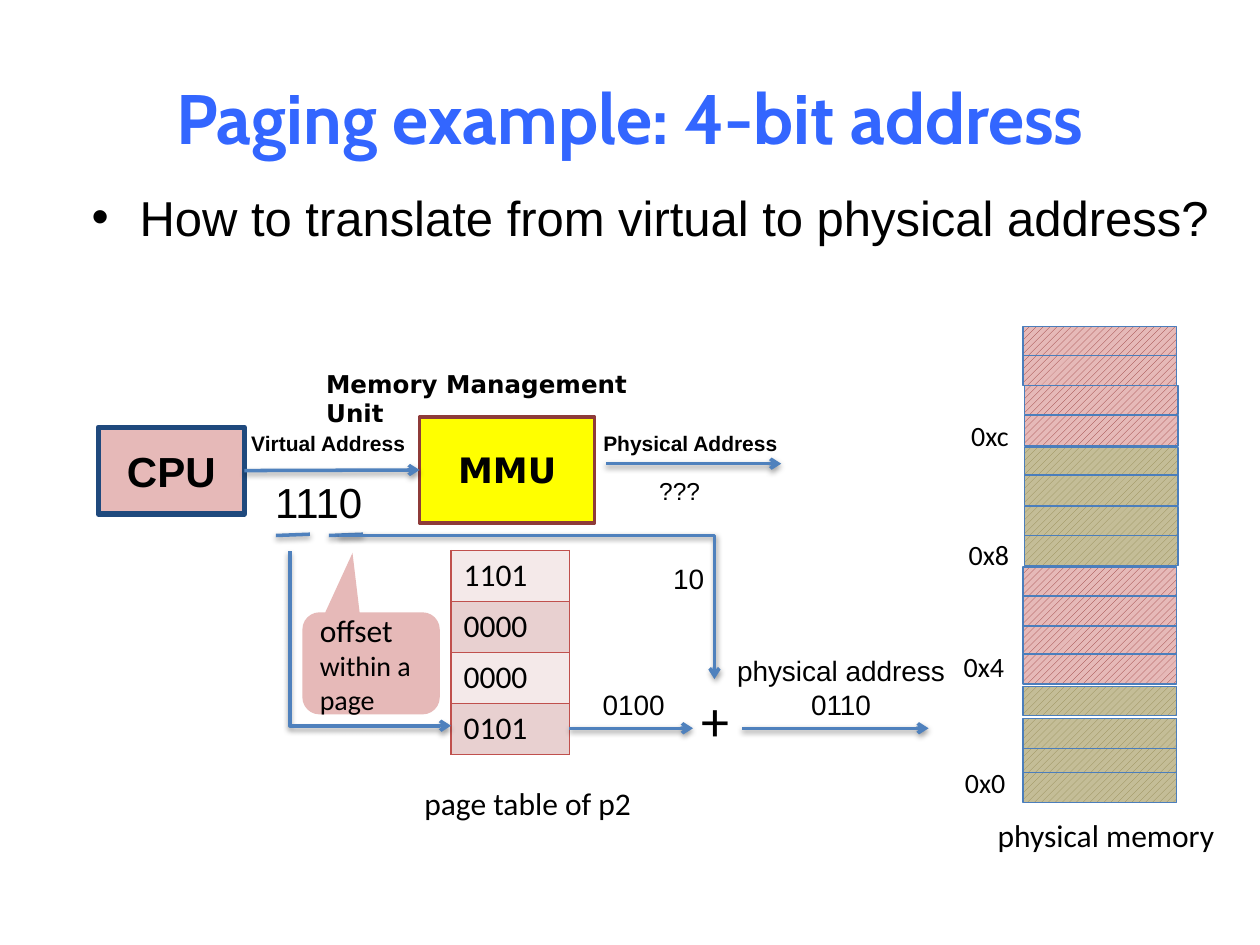
from dataclasses import dataclass

from lxml.etree import SubElement
from pptx import Presentation
from pptx.dml.color import RGBColor
from pptx.enum.dml import MSO_PATTERN
from pptx.enum.shapes import MSO_CONNECTOR as Link, MSO_SHAPE as Preset
from pptx.enum.text import MSO_ANCHOR as Anchor, MSO_AUTO_SIZE as Fit, PP_ALIGN as Align
from pptx.oxml import parse_xml
from pptx.oxml.ns import nsdecls, qn
from pptx.util import Inches, Pt


@dataclass(frozen=True)
class Theme:
    """Colours, typefaces and type sizes of the slide."""
    heading: str = "3366FF"
    ink: str = "000000"
    pink: str = "E6B9B8"
    pink_hatch: str = "953735"
    tan: str = "C4BD97"
    tan_hatch: str = "948A54"
    cell_line: str = "4B7EBC"
    arrow: str = "4F81BD"
    cpu_line: str = "1F497D"
    mmu: str = "FFFF00"
    mmu_line: str = "8E3B39"
    table_line: str = "C0504D"
    bands: tuple = ("F4E9E9", "E8D0D0")
    title_font: str = "Cabin"
    plain: str = "Arial"
    soft: str = "Calibri"
    wide: str = "DejaVu Sans"
    title: int = 40
    bullet: int = 28
    plus: int = 32
    large: int = 24
    unit: int = 20
    body: int = 18
    label: int = 16
    note: int = 14
    small: int = 12


def rgb(code):
    """Turn a hex code into a colour."""
    return RGBColor.from_string(code)


def box(*lengths):
    """Give several lengths in inches."""
    return [Inches(length) for length in lengths]


class Sketch:
    """Draws styled elements on the current slide."""

    def __init__(self, slide, theme):
        self.slide, self.theme = slide, theme

    def styled_run(self, paragraph, words, size, font, bold=False, colour=None):
        """Add one styled run to a paragraph."""
        run = paragraph.add_run()
        run.text = words
        run.font.size, run.font.name, run.font.bold = Pt(size), font, bold
        run.font.color.rgb = rgb(colour or self.theme.ink)

    def title(self, words, place):
        """Place and fill the title."""
        heading = self.slide.shapes.title
        heading.left, heading.top, heading.width, heading.height = box(*place)
        frame = heading.text_frame
        frame.vertical_anchor, frame.auto_size = Anchor.MIDDLE, Fit.NONE
        frame.paragraphs[0].alignment = Align.CENTER
        self.styled_run(frame.paragraphs[0], words, self.theme.title,
                        self.theme.title_font, True, self.theme.heading)

    def text(self, lines, place, size, font, bold=False, align=Align.CENTER, wrap=True):
        """Add a text box with one paragraph per line."""
        frame = self.slide.shapes.add_textbox(*box(*place)).text_frame
        frame.word_wrap, frame.auto_size = wrap, Fit.SHAPE_TO_FIT_TEXT
        for index, line in enumerate(lines.split("\n")):
            paragraph = frame.add_paragraph() if index else frame.paragraphs[0]
            paragraph.alignment = align
            self.styled_run(paragraph, line, size, font, bold)

    def bullet(self, words, place):
        """Add a bulleted statement."""
        frame = self.slide.shapes.add_textbox(*box(*place)).text_frame
        frame.word_wrap = True
        paragraph = frame.paragraphs[0]
        properties = paragraph._p.get_or_add_pPr()
        properties.set("marL", str(Inches(0.38)))
        properties.set("indent", str(Inches(-0.38)))
        SubElement(properties, qn("a:buFont")).set("typeface", self.theme.plain)
        SubElement(properties, qn("a:buChar")).set("char", "•")
        self.styled_run(paragraph, words, self.theme.bullet, self.theme.plain)

    def block(self, place, fill, line=None, weight=1.0, preset=Preset.RECTANGLE, hatch=None):
        """Add a filled shape, hatched or plain."""
        shape = self.slide.shapes.add_shape(preset, *box(*place))
        shape.shadow.inherit = False
        if hatch:
            shape.fill.patterned()
            shape.fill.pattern = MSO_PATTERN.WIDE_UPWARD_DIAGONAL
            shape.fill.fore_color.rgb, shape.fill.back_color.rgb = rgb(hatch), rgb(fill)
        else:
            shape.fill.solid()
            shape.fill.fore_color.rgb = rgb(fill)
        if line:
            shape.line.color.rgb, shape.line.width = rgb(line), Pt(weight)
        else:
            shape.line.fill.background()
        return shape

    def unit(self, words, size, font, *look):
        """Add a named hardware unit."""
        shape = self.block(*look)
        frame = shape.text_frame
        frame.vertical_anchor = Anchor.MIDDLE
        frame.paragraphs[0].alignment = Align.CENTER
        self.styled_run(frame.paragraphs[0], words, size, font, True)
        return shape

    def callout(self, lines, place, adjustments):
        """Add a speech callout; each line is a list of words and sizes."""
        shape = self.block(place, self.theme.pink, preset=Preset.ROUNDED_RECTANGULAR_CALLOUT)
        for index, value in enumerate(adjustments):
            shape.adjustments[index] = value
        frame = shape.text_frame
        frame.word_wrap, frame.vertical_anchor = True, Anchor.MIDDLE
        for index, line in enumerate(lines):
            paragraph = frame.add_paragraph() if index else frame.paragraphs[0]
            paragraph.alignment = Align.LEFT
            for words, size in line:
                self.styled_run(paragraph, words, size, self.theme.soft)

    def link(self, start, end, arrow="tailEnd", bent=False):
        """Add a line; a bent one runs across first, then up or down."""
        kind = Link.ELBOW if bent else Link.STRAIGHT
        line = self.slide.shapes.add_connector(kind, *box(*start, *end))
        line.line.color.rgb, line.line.width = rgb(self.theme.arrow), Pt(2)
        properties = line._element.spPr
        if bent:
            properties.find(qn("a:prstGeom")).set("prst", "bentConnector2")
        if arrow:
            SubElement(properties.find(qn("a:ln")), qn(f"a:{arrow}")).set("type", "arrow")
        properties.append(parse_xml(
            f'<a:effectLst {nsdecls("a")}><a:outerShdw blurRad="40000" dist="20000" '
            'dir="5400000" rotWithShape="0"><a:srgbClr val="000000">'
            '<a:alpha val="38000"/></a:srgbClr></a:outerShdw></a:effectLst>'))
        return line

    def table(self, entries, place):
        """Add a one-column banded table."""
        grid = self.slide.shapes.add_table(len(entries), 1, *box(*place)).table
        for row, entry in enumerate(entries):
            cell = grid.cell(row, 0)
            self.styled_run(cell.text_frame.paragraphs[0], entry, self.theme.body, self.theme.soft)
            properties = cell._tc.get_or_add_tcPr()
            for side in ("lnL", "lnR", "lnT", "lnB"):
                properties.append(parse_xml(
                    f'<a:{side} {nsdecls("a")} w="12700"><a:solidFill><a:srgbClr '
                    f'val="{self.theme.table_line}"/></a:solidFill></a:{side}>'))
            cell.fill.solid()
            cell.fill.fore_color.rgb = rgb(self.theme.bands[row % 2])


def main():
    """Build the paging slide."""
    deck = Presentation()
    deck.slide_width, deck.slide_height = box(10, 7.5)
    t = Theme()
    sketch = Sketch(deck.slides.add_slide(deck.slide_layouts[5]), t)
    sketch.title("Paging example: 4-bit address", (0.5, 0.3, 9, 1.25))
    sketch.bullet("How to translate from virtual to physical address?", (0.63, 1.44, 9.66, 1.11))

    pink, tan = (t.pink, t.pink_hatch), (t.tan, t.tan_hatch)
    half_pages = [(pink, 8.13, 3.06, 3.3), (pink, 8.12, 2.59, 2.82),
                  (pink, 8.12, 4.96, 5.19), (pink, 8.12, 4.5, 4.73),
                  (tan, 8.13, 4.02, 4.25), (tan, 8.13, 3.55, 3.77),
                  (tan, 8.12, 5.9, 6.13), (tan, 8.12, 5.45, 5.7)]
    for (fill, hatch), left, upper, lower in half_pages:
        for top, height in ((upper, 0.23), (lower, 0.24)):
            sketch.block((left, top, 1.22, height), fill, t.cell_line, 0.75, hatch=hatch)
    for address, left, top in (("0x0", 7.56, 6.03), ("0x4", 7.55, 5.11),
                               ("0x8", 7.59, 4.22), ("0xc", 7.61, 3.27)):
        sketch.text(address, (left, top, 0.53, 0.37), t.label, t.soft, align=Align.LEFT, wrap=False)
    sketch.text("physical memory", (7.82, 6.43, 1.95, 0.4), t.body, t.soft,
                align=Align.LEFT, wrap=False)

    sketch.table(["1101", "0000", "0000", "0101"], (3.58, 4.37, 0.94, 1.62))
    sketch.text("page table of p2", (3.27, 6.17, 1.86, 0.4), t.body, t.soft, align=Align.LEFT)

    cpu = sketch.unit("CPU", t.large, t.plain, (0.78, 3.39, 1.16, 0.69), t.pink, t.cpu_line, 3)
    mmu = sketch.unit("MMU", t.unit, t.wide, (3.33, 3.31, 1.39, 0.84), t.mmu, t.mmu_line, 2)
    sketch.text("Memory Management Unit", (2.49, 2.88, 3.1, 0.34), t.note, t.wide, True, Align.LEFT)
    request = sketch.link((1.94, 3.73), (3.33, 3.73))
    request.begin_connect(cpu, 3)
    request.end_connect(mmu, 1)
    for start, end in (((4.81, 3.68), (6.2, 3.68)), ((4.52, 5.78), (5.5, 5.78)),
                       ((5.89, 5.78), (7.37, 5.78))):
        sketch.link(start, end)
    for left in (2.19, 2.61):
        sketch.link((left, 4.25), (left + 0.27, 4.24), arrow=None)
    sketch.link((3.58, 5.76), (2.3, 4.37), arrow="headEnd", bent=True)
    sketch.callout([[("offset ", t.body), ("within a", t.label)], [("page", t.label)]],
                   (2.4, 4.86, 1.09, 0.81), (-0.135, -1.082, 0.167))
    sketch.link((2.69, 4.25), (5.67, 5.39), bent=True)

    for words, place, size, font, bold in (
            ("Virtual Address", (1.88, 3.37, 1.45, 0.3), t.small, t.plain, True),
            ("Physical Address", (4.68, 3.37, 1.6, 0.3), t.small, t.plain, True),
            ("1110", (2.08, 3.73, 0.9, 0.5), t.large, t.plain, False),
            ("???", (5.13, 3.73, 0.53, 0.34), t.note, t.plain, False),
            ("0100", (4.68, 5.41, 0.7, 0.37), t.label, t.plain, False),
            ("+", (5.46, 5.39, 0.43, 0.64), t.plus, t.soft, False),
            ("10", (5.24, 4.41, 0.45, 0.37), t.label, t.plain, False),
            ("physical address\n0110", (5.74, 5.14, 1.87, 0.64), t.label, t.plain, False)):
        sketch.text(words, place, size, font, bold)
    deck.save("out.pptx")


if __name__ == "__main__":
    main()
